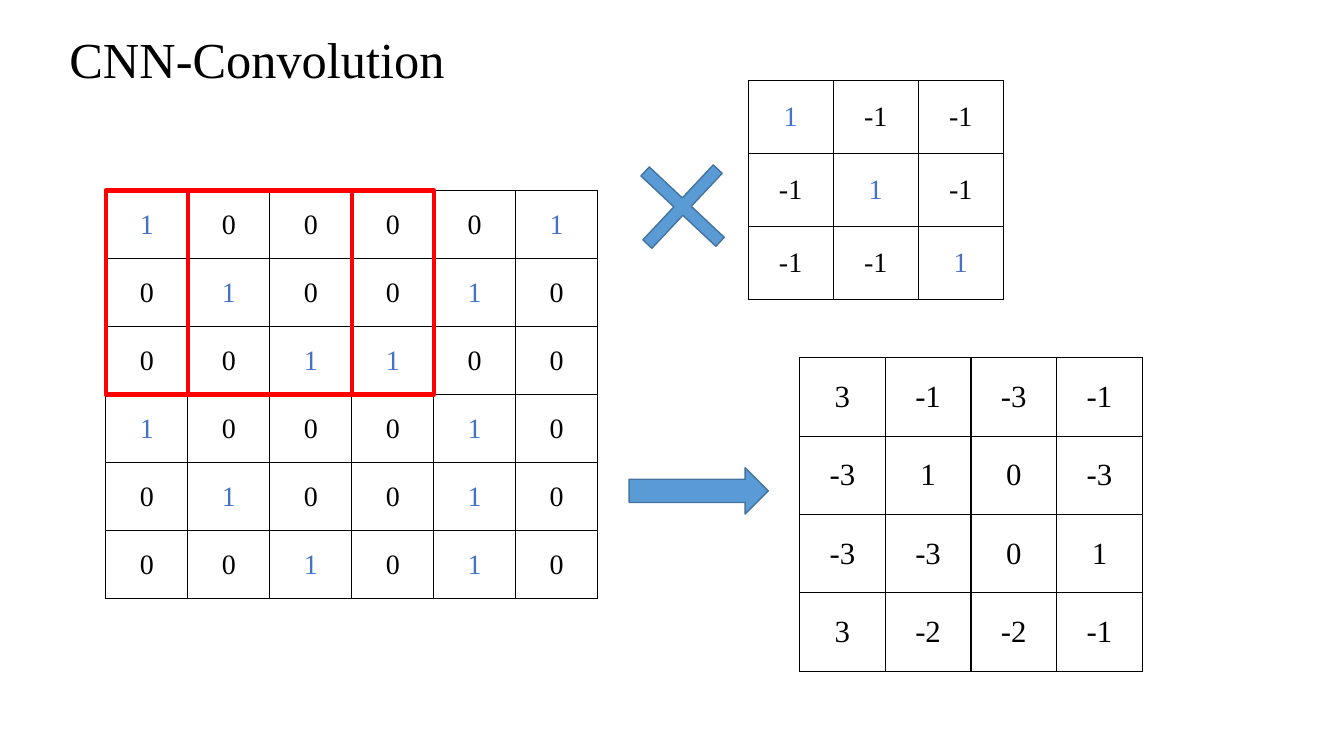
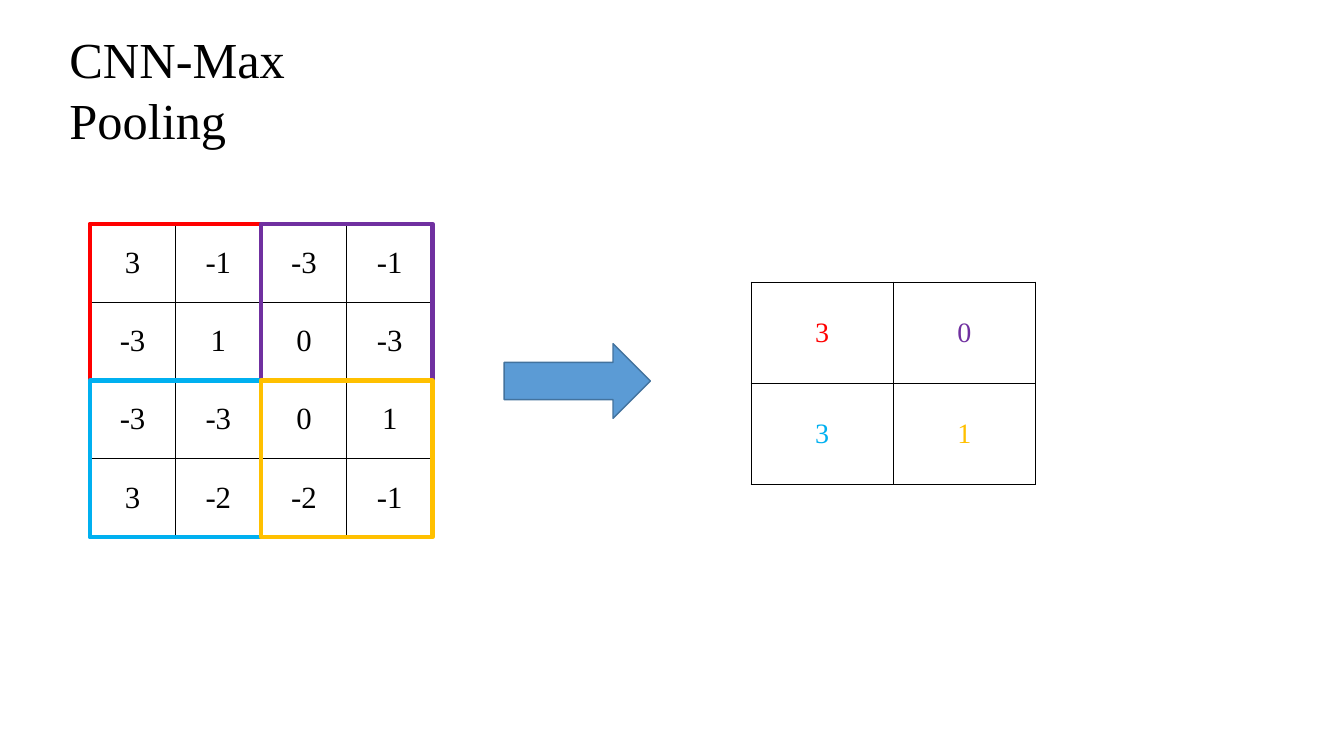
from dataclasses import dataclass

from lxml import etree
from pptx import Presentation
from pptx import util as u
from pptx.dml.color import RGBColor
from pptx.enum import shapes, text
from pptx.oxml import ns

FONT = "Times New Roman"
COLORS = {
    "black": "000000",
    "one": "4472C4",
    "symbol": "5B9BD5",
    "symbol_line": "43739E",
    "red": "FF0000",
    "purple": "7030A0",
    "cyan": "00B0F0",
    "gold": "FFC000",
}


@dataclass(frozen=True)
class Matrix:
    """A grid of numbers; sizes are inches, tints name a colour per cell."""
    rows: list[list[str]]
    left: float
    top: float
    width: float
    height: float
    tints: list[list[str]]
    size: int = 20

    @property
    def cell_width(self) -> float:
        return self.width / len(self.rows[0])

    @property
    def cell_height(self) -> float:
        return self.height / len(self.rows)


@dataclass(frozen=True)
class Symbol:
    kind: shapes.MSO_SHAPE
    left: float
    top: float
    width: float
    height: float
    rotation: float = 0
    adjustment: float = 0.5


def parse_rows(lines: str) -> list[list[str]]:
    return [line.split() for line in lines.split("/")]


def tint_ones(rows: list[list[str]]) -> list[list[str]]:
    return [["one" if value == "1" else "black" for value in row] for row in rows]


def rgb(name: str) -> RGBColor:
    return RGBColor.from_string(COLORS[name])


def style_span(para, size: int, color: str) -> None:
    font = para.runs[0].font
    font.name, font.size = FONT, u.Pt(size)
    font.color.rgb = rgb(color)


def add_page(deck, title: str):
    page = deck.slides.add_slide(deck.slide_layouts[6])
    box = page.shapes.add_textbox(u.Inches(0.59), u.Inches(0.23), u.Inches(4), u.Inches(0.71))
    box.text_frame.word_wrap = False
    box.text_frame.text = title
    style_span(box.text_frame.paragraphs[0], 36, "black")
    return page


def add_borders(cell) -> None:
    properties = cell._tc.get_or_add_tcPr()
    for side in ("lnL", "lnR", "lnT", "lnB"):
        line = etree.SubElement(properties, ns.qn(f"a:{side}"), w=str(u.Pt(1)))
        fill = etree.SubElement(line, ns.qn("a:solidFill"))
        etree.SubElement(fill, ns.qn("a:srgbClr"), val=COLORS["black"])


def add_matrix(page, matrix: Matrix) -> None:
    frame = page.shapes.add_table(
        len(matrix.rows), len(matrix.rows[0]),
        u.Inches(matrix.left), u.Inches(matrix.top),
        u.Inches(matrix.width), u.Inches(matrix.height))
    table = frame.table
    table.first_row = table.horz_banding = False
    for column in table.columns:
        column.width = u.Inches(matrix.cell_width)
    for i, row in enumerate(matrix.rows):
        table.rows[i].height = u.Inches(matrix.cell_height)
        for j, value in enumerate(row):
            cell = table.cell(i, j)
            cell.text_frame.text = value
            cell.vertical_anchor = text.MSO_ANCHOR.MIDDLE
            para = cell.text_frame.paragraphs[0]
            para.alignment = text.PP_ALIGN.CENTER
            style_span(para, matrix.size, matrix.tints[i][j])
            add_borders(cell)
            cell.fill.background()


def add_window(page, matrix: Matrix, row: int, column: int, span: int, color: str) -> None:
    """Outline a square block of cells."""
    box = page.shapes.add_shape(
        shapes.MSO_SHAPE.RECTANGLE,
        u.Inches(matrix.left + column * matrix.cell_width),
        u.Inches(matrix.top + row * matrix.cell_height),
        u.Inches(span * matrix.cell_width), u.Inches(span * matrix.cell_height))
    box.shadow.inherit = False
    box.fill.background()
    box.line.color.rgb = rgb(color)
    box.line.width = u.Pt(3)


def add_symbol(page, symbol: Symbol) -> None:
    shape = page.shapes.add_shape(
        symbol.kind, u.Inches(symbol.left), u.Inches(symbol.top),
        u.Inches(symbol.width), u.Inches(symbol.height))
    shape.rotation = symbol.rotation
    shape.adjustments[0] = symbol.adjustment
    shape.shadow.inherit = False
    shape.fill.solid()
    shape.fill.fore_color.rgb = rgb("symbol")
    shape.line.color.rgb = rgb("symbol_line")
    shape.line.width = u.Pt(1)


def feature_map(left: float, top: float) -> Matrix:
    """The convolution result, which is also the pooling input."""
    rows = parse_rows("3 -1 -3 -1/-3 1 0 -3/-3 -3 0 1/3 -2 -2 -1")
    return Matrix(rows, left, top, 3.4, 3.11, [["black"] * 4] * 4, 22)


def build_convolution(deck) -> None:
    page = add_page(deck, "CNN-Convolution")

    # Input, kernel and result
    pixels = parse_rows("1 0 0 0 0 1/0 1 0 0 1 0/0 0 1 1 0 0/"
                        "1 0 0 0 1 0/0 1 0 0 1 0/0 0 1 0 1 0")
    weights = parse_rows("1 -1 -1/-1 1 -1/-1 -1 1")
    image = Matrix(pixels, 1.05, 1.89, 4.88, 4.05, tint_ones(pixels))
    kernel = Matrix(weights, 7.42, 0.8, 2.53, 2.17, tint_ones(weights))
    for matrix in (image, kernel, feature_map(7.93, 3.55)):
        add_matrix(page, matrix)

    # Two steps of the sliding window
    for column in range(2):
        add_window(page, image, 0, column, 3, "red")

    # Operators
    add_symbol(page, Symbol(shapes.MSO_SHAPE.RIGHT_ARROW, 6.24, 4.64, 1.38, 0.46))
    add_symbol(page, Symbol(shapes.MSO_SHAPE.CROSS, 6.26, 1.54, 1.02, 1.02, 43.2, 0.44))


def build_pooling(deck) -> None:
    page = add_page(deck, "CNN-Max Pooling")
    block_colors = [["red", "purple"], ["cyan", "gold"]]

    # Input with its 2 by 2 blocks
    features = feature_map(0.89, 2.22)
    add_matrix(page, features)
    for i, row in enumerate(block_colors):
        for j, color in enumerate(row):
            add_window(page, features, 2 * i, 2 * j, 2, color)

    # Largest value of each block
    add_symbol(page, Symbol(shapes.MSO_SHAPE.RIGHT_ARROW, 5, 3.41, 1.45, 0.74))
    add_matrix(page, Matrix(parse_rows("3 0/3 1"), 7.45, 2.8, 2.82, 2.01, block_colors))


def main() -> None:
    deck = Presentation()
    deck.slide_width, deck.slide_height = u.Inches(13.33), u.Inches(7.5)
    build_convolution(deck)
    build_pooling(deck)
    deck.save("out.pptx")


if __name__ == "__main__":
    main()
